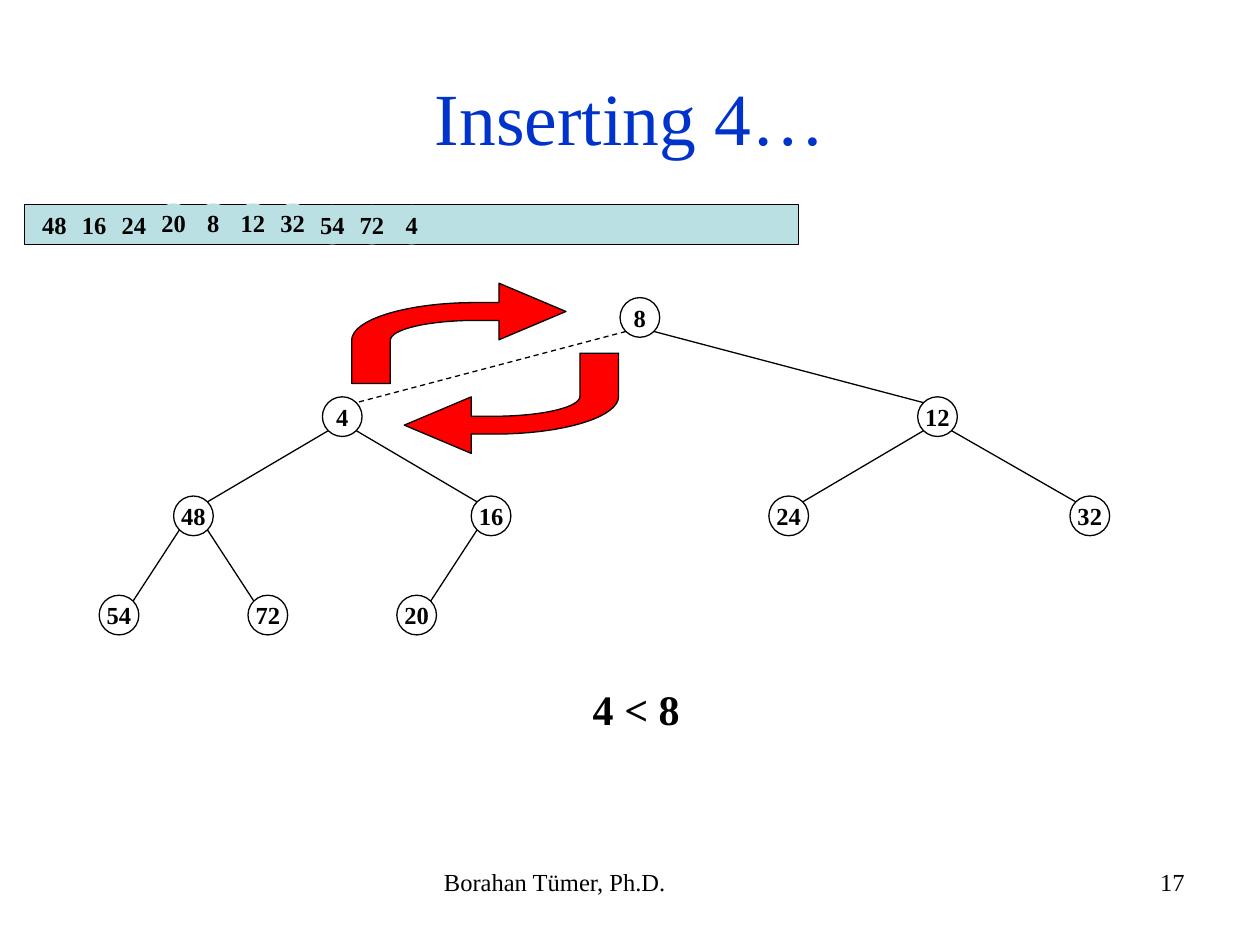
from math import cos, pi, sin, sqrt

from lxml import etree
from pptx import Presentation
from pptx.dml.color import RGBColor
from pptx.enum.dml import MSO_LINE
from pptx.enum.shapes import MSO_CONNECTOR, MSO_SHAPE
from pptx.enum.text import MSO_ANCHOR, PP_ALIGN
from pptx.oxml.ns import qn
from pptx.util import Cm, Pt

BLACK = RGBColor(0, 0, 0)
WHITE = RGBColor(255, 255, 255)
BLUE = RGBColor(0x00, 0x33, 0xCC)
TEAL = RGBColor(0xBB, 0xE0, 0xE3)
RED = RGBColor(255, 0, 0)
LEFT, MID, RIGHT = PP_ALIGN.LEFT, PP_ALIGN.CENTER, PP_ALIGN.RIGHT
OVAL, RECT = MSO_SHAPE.OVAL, MSO_SHAPE.RECTANGLE
LINE, DASH = MSO_CONNECTOR.STRAIGHT, MSO_LINE.DASH
CENTRE, TOP = MSO_ANCHOR.MIDDLE, MSO_ANCHOR.TOP
SIZE = 0.8  # diameter of a node, pitch of the array

prs = Presentation()
prs.slide_width, prs.slide_height = Cm(25.4), Cm(19.05)
slide = prs.slides.add_slide(prs.slide_layouts[6])
shapes = slide.shapes


def paint(shape, fill=None, line=None):
    shape.shadow.inherit = False
    if fill is None:
        shape.fill.background()
    else:
        shape.fill.solid()
        shape.fill.fore_color.rgb = fill
    if line is None:
        shape.line.fill.background()
    else:
        shape.line.color.rgb = line
        shape.line.width = Pt(0.75)


def write(shape, text, size, align=MID, color=BLACK, bold=False,
          anchor=CENTRE, inset=None, wrap=True):
    frame = shape.text_frame
    frame.word_wrap = wrap
    frame.vertical_anchor = anchor
    if inset is not None:
        frame.margin_left = frame.margin_right = Cm(inset)
        frame.margin_top = frame.margin_bottom = Cm(inset)
    para = frame.paragraphs[0]
    para.alignment = align
    run = para.add_run()
    run.text = text
    run.font.name = "Times New Roman"
    run.font.size = Pt(size)
    run.font.bold = bold
    run.font.color.rgb = color


# Title and footer
for text, x, y, w, h, size, align, color, anchor in [
    ("Inserting 4…", 1.27, 0.76, 22.86, 3.18, 42, MID, BLUE, CENTRE),
    ("Borahan Tümer, Ph.D.", 8.7, 17.35, 8.04, 1.32, 14, LEFT, BLACK, TOP),
    ("17", 18.2, 17.35, 5.93, 1.32, 14, RIGHT, BLACK, TOP),
]:
    box = shapes.add_textbox(Cm(x), Cm(y), Cm(w), Cm(h))
    write(box, text, size, align, color, anchor=anchor)

# Array
bar = shapes.add_shape(RECT, Cm(0.5), Cm(4.12), Cm(15.6), Cm(0.81))
paint(bar, TEAL, BLACK)
for i, key in enumerate([48, 16, 24, 20, 8, 12, 32, 54, 72, 4]):
    y = 4.1 if 3 <= i <= 6 else 4.13
    cell = shapes.add_shape(OVAL, Cm(0.7 + i * SIZE), Cm(y),
                            Cm(SIZE), Cm(SIZE))
    paint(cell, TEAL if i >= 3 else None)
    write(cell, str(key), 14, bold=True, inset=0, wrap=False)

# Heap: key -> left edge and depth
nodes = {
    8: (12.5, 0),
    4: (6.5, 1), 12: (18.5, 1),
    48: (3.5, 2), 16: (9.5, 2), 24: (15.5, 2), 32: (21.57, 2),
    54: (2, 3), 72: (5, 3), 20: (8, 3),
}
edges = [(8, 4), (8, 12), (4, 48), (4, 16), (12, 24), (12, 32),
         (48, 54), (48, 72), (16, 20)]
half = SIZE / 2
reach = half / sqrt(2)  # edges meet the circles at 45 degrees
for top, low in edges:
    (x1, d1), (x2, d2) = nodes[top], nodes[low]
    side = reach if x2 > x1 else -reach
    edge = shapes.add_connector(
        LINE,
        Cm(x1 + half + side), Cm(6 + 2 * d1 + half + reach),
        Cm(x2 + half - side), Cm(6 + 2 * d2 + half - reach))
    edge.line.color.rgb = BLACK
    edge.line.width = Pt(0.75)
    if (top, low) == (8, 4):
        edge.line.dash_style = DASH
    etree.SubElement(edge._element.spPr, qn("a:effectLst"))
for key, (x, depth) in nodes.items():
    node = shapes.add_shape(OVAL, Cm(x), Cm(6 + 2 * depth),
                            Cm(SIZE), Cm(SIZE))
    paint(node, line=BLACK)
    write(node, str(key), 14, bold=True, inset=0, wrap=False)

# Comparison
note = shapes.add_shape(RECT, Cm(11.7), Cm(13.66), Cm(2.26), Cm(1.28))
paint(note, WHITE)
write(note, "4 < 8", 24, LEFT, bold=True, anchor=TOP, wrap=False)

# Swap arrows: one outline, bent along two quarter ellipses
turns = [pi / 2 * i / 16 for i in range(17)]
outer = [(2.5 - 2.5 * sin(t), 1.15 - 0.76 * cos(t)) for t in turns]
inner = [(2.5 - 1.72 * cos(t), 1.15 - 0.4 * sin(t)) for t in turns]
bend = [(4.32, 0.57), (2.97, 0), (2.97, 0.39), *outer, (0, 2.02),
        (0.78, 2.02), *inner, (2.97, 0.75), (2.97, 1.14)]
for x, y, turn in [(7.09, 5.71, 0), (8.15, 7.12, 180)]:
    points = [(Cm(x + dx), Cm(y + dy)) for dx, dy in bend]
    pen = shapes.build_freeform(*points[0])
    pen.add_line_segments(points[1:], close=True)
    arrow = pen.convert_to_shape()
    arrow.rotation = turn
    paint(arrow, RED, BLACK)

prs.save("out.pptx")
